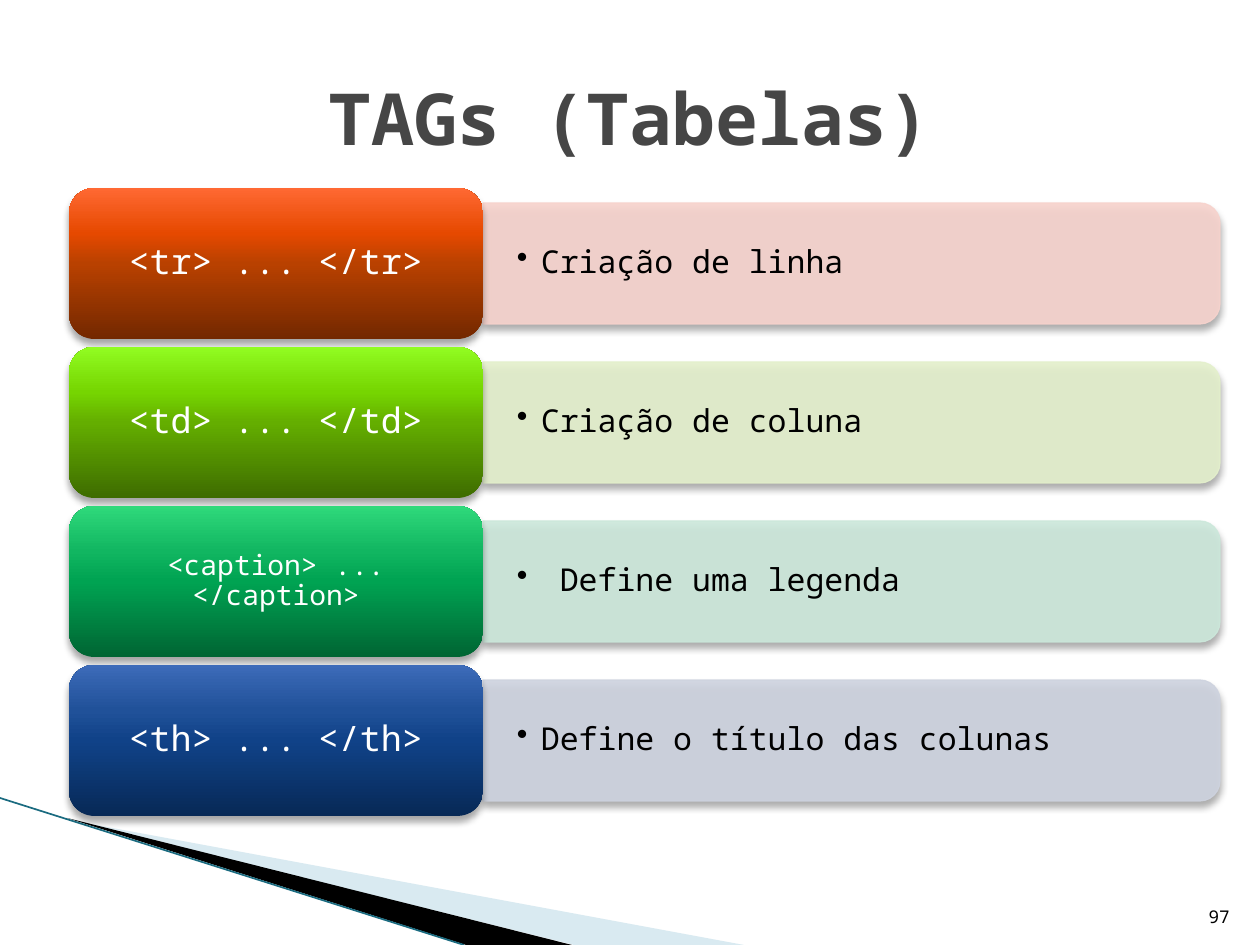
import pptx
import pptx.util
import pptx.oxml
import pptx.oxml.ns
import pptx.dml.color
import pptx.enum.shapes
import pptx.enum.text
from lxml import etree

PX = 914400 // 126
WIDE, TALL = 1260, 945
KIND = pptx.enum.shapes.MSO_SHAPE
ALIGN = pptx.enum.text.PP_ALIGN
ANCHOR = pptx.enum.text.MSO_ANCHOR

THEME = {
    "font": "Noto Sans Mono",
    "title": (41, "464646"), "note": (18, "000000"), "page": (10, "000000"),
    "tag": "FFFFFF", "black": "000000", "pale": "A0CBDC", "teal": "1A6B80",
}
TITLE, PAGE = "TAGs (Tabelas)", "97"
# tag, tag size, note, bar colour, pad gradient from bottom to top
ROWS = [
    ("<tr> ... </tr>", 20, "Criação de linha", "F7D3CD",
     ("732800", "B94100", "E64900", "FF6933")),
    ("<td> ... </td>", 20, "Criação de coluna", "E4F0CC",
     ("3E6C00", "64AE00", "76D501", "91FC21")),
    ("<caption> ... </caption>", 16, " Define uma legenda", "CCE8DB",
     ("006533", "00A352", "11B661", "2FD97B")),
    ("<th> ... </th>", 20, "Define o título das colunas", "CED3DF",
     ("072956", "104288", "205199", "3D6BB9")),
]
STOPS = (0, 50, 70, 100)
LEFT, TOP, STEP = 69, 188, 159
PAD_W, PAD_H = 414, 151
BAR_W, BAR_H = 737, 121
WEDGES = [
    ([(69, 820), (744, 945), (574, 945)], THEME["pale"], 40),
    ([(67, 818), (572, 945), (466, 945)], THEME["black"], 100),
]


def emu(*sizes):
    return [pptx.util.Emu(size * PX) for size in sizes]


def rgb(code):
    return pptx.dml.color.RGBColor.from_string(code)


def add(parent, tag, **attrs):
    node = etree.SubElement(parent, pptx.oxml.ns.qn(tag))
    for key, value in attrs.items():
        node.set(key, str(value))
    return node


def fade(part, pct):
    """Set the opacity of every solid colour under part."""
    for node in part.iter(pptx.oxml.ns.qn("a:srgbClr")):
        add(node, "a:alpha", val=pct * 1000)


def shade(shape):
    shape.shadow.inherit = False
    effect = shape._element.spPr.find(pptx.oxml.ns.qn("a:effectLst"))
    drop = add(effect, "a:outerShdw", blurRad=50800, dist=38100,
               dir=5400000, rotWithShape=0)
    add(add(drop, "a:srgbClr", val=THEME["black"]), "a:alpha", val=35000)


def write(shape, text, size, color, align, anchor, inset=None, bullet=False, tight=False):
    frame = shape.text_frame
    frame.word_wrap = True
    frame.vertical_anchor = anchor
    if inset:
        frame.margin_left, frame.margin_top = emu(*inset)
        frame.margin_right, frame.margin_bottom = emu(*inset)
    para = frame.paragraphs[0]
    para.alignment = align
    if tight:
        para.line_spacing = 0.9
    if bullet:
        props = para._p.get_or_add_pPr()
        props.set("marL", str(24 * PX))
        props.set("indent", str(-24 * PX))
        add(props, "a:buChar", char="•")
    run = para.add_run()
    run.text = text
    font = run.font
    font.name, font.size = THEME["font"], pptx.util.Pt(size)
    font.color.rgb = rgb(color)
    return font


def wedge(shapes, points, color, pct):
    build = shapes.build_freeform(*points[0], scale=PX)
    build.add_line_segments(points[1:])
    shape = build.convert_to_shape()
    shape.shadow.inherit = False
    shape.fill.solid()
    shape.fill.fore_color.rgb = rgb(color)
    shape.line.fill.background()
    fade(shape._element.spPr, pct)


def bar(shapes, mid, color):
    """Draw a bar whose right-hand corners are round: a turned shape."""
    left = LEFT + PAD_W + (BAR_W - BAR_H) // 2
    shape = shapes.add_shape(KIND.ROUND_2_SAME_RECTANGLE,
                             *emu(left, mid - BAR_W // 2, BAR_H, BAR_W))
    shape.rotation = 90
    shape.fill.solid()
    shape.fill.fore_color.rgb = rgb(color)
    shape.line.color.rgb = rgb(color)
    shape.line.width = pptx.util.Pt(0.75)
    fade(shape._element.spPr, 90)
    shade(shape)


def pad(shapes, top, colors):
    shape = shapes.add_shape(KIND.ROUNDED_RECTANGLE, *emu(LEFT, top, PAD_W, PAD_H))
    shape.fill.gradient()
    shape.fill.gradient_angle = 90
    stops = shape._element.spPr.find(".//" + pptx.oxml.ns.qn("a:gsLst"))
    for old in list(stops):
        stops.remove(old)
    for pos, color in zip(STOPS, colors):
        add(add(stops, "a:gs", pos=pos * 1000), "a:srgbClr", val=color)
    shape.line.fill.background()
    shade(shape)
    return shape


def main():
    deck = pptx.Presentation()
    deck.slide_width, deck.slide_height = emu(WIDE, TALL)
    shapes = deck.slides.add_slide(deck.slide_layouts[6]).shapes

    for points, color, pct in WEDGES:
        wedge(shapes, points, color, pct)
    edge = shapes.add_connector(pptx.enum.shapes.MSO_CONNECTOR.STRAIGHT,
                                *emu(0, 798, 464, TALL))
    edge.line.color.rgb = rgb(THEME["teal"])
    edge.line.width = pptx.util.Pt(0.95)
    add(edge._element.spPr, "a:effectLst")

    box = shapes.add_textbox(*emu(63, 38, 1134, 157))
    write(box, TITLE, *THEME["title"], ALIGN.CENTER, ANCHOR.MIDDLE).bold = True

    for i, (tag, size, note, color, colors) in enumerate(ROWS):
        top = TOP + i * STEP
        mid = top + PAD_H // 2
        bar(shapes, mid, color)
        box = shapes.add_textbox(*emu(LEFT + PAD_W, mid - 55, BAR_W - 6, 110))
        write(box, note, *THEME["note"], ALIGN.LEFT, ANCHOR.MIDDLE,
              (34, 18), bullet=True, tight=True)
        write(pad(shapes, top, colors), tag, size, THEME["tag"],
              ALIGN.CENTER, ANCHOR.MIDDLE, (17, 12), tight=True)

    box = shapes.add_textbox(*emu(1166, 883, 76, 50))
    write(box, PAGE, *THEME["page"], ALIGN.RIGHT, ANCHOR.BOTTOM)
    deck.save("out.pptx")


if __name__ == "__main__":
    main()
